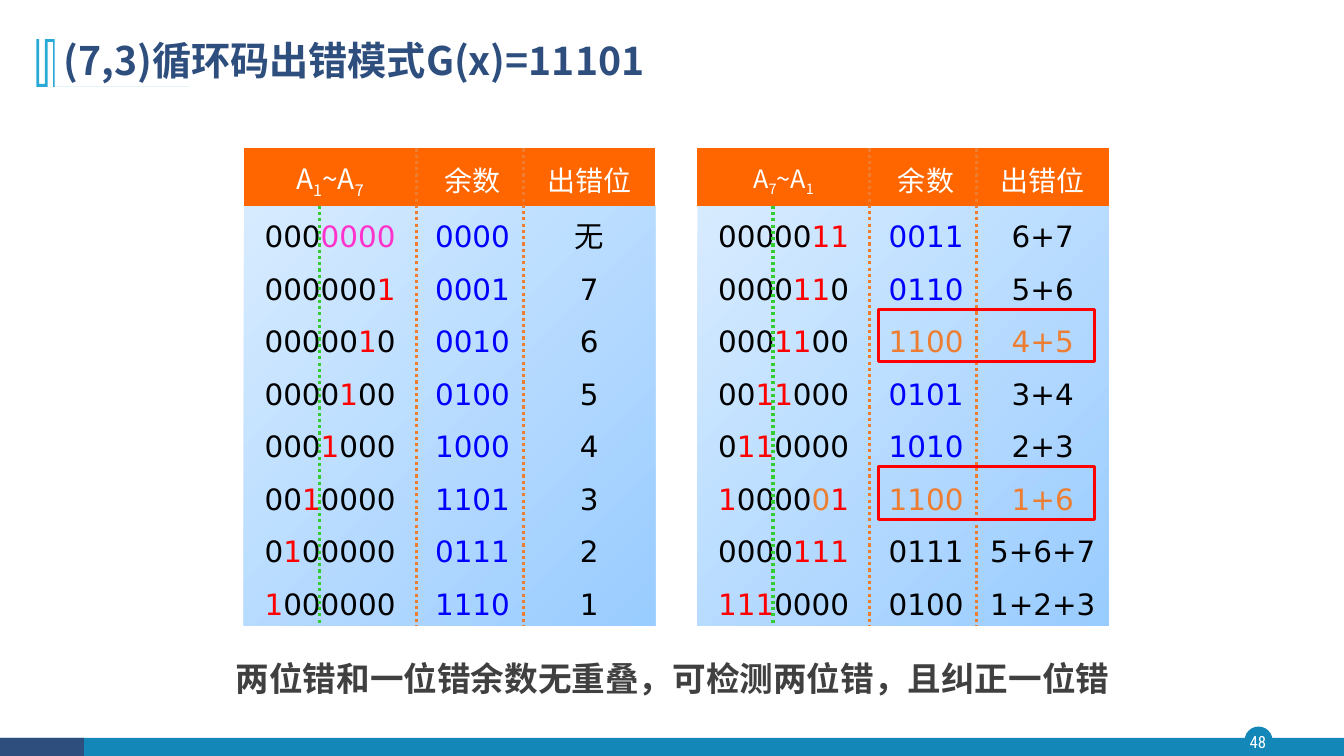
import lxml.etree
import pptx
import pptx.dml.color
import pptx.enum.dml
import pptx.enum.shapes
import pptx.enum.text
import pptx.oxml.ns
import pptx.util

Pt = pptx.util.Pt
ALIGN = pptx.enum.text.PP_ALIGN
ANCHOR = pptx.enum.text.MSO_ANCHOR
SHAPE = pptx.enum.shapes.MSO_SHAPE
qn = pptx.oxml.ns.qn

COLOURS = {
    "navy": "2E4E7E", "teal": "1387B7", "cyan": "28A9D6", "white": "FFFFFF",
    "black": "000000", "red": "FF0000", "blue": "0000FF", "orange": "ED7D31",
    "pink": "FF33CC", "header": "FF6600", "green": "33CC33", "grey": "404040",
    "pale": "D7EBFF", "sky": "99CCFF",
}
INKS = {"r": "red", "b": "blue", "o": "orange", "p": "pink"}
CJK, DIGITS = "Noto Sans CJK SC", "DejaVu Sans"
NO_GRID_STYLE = "{2D5ABB26-0587-4C30-8999-92F81FD0307C}"

TABLE_TOP, HEADER_HEIGHT, ROW_HEIGHT = 106, 41, 37.5
COLUMN_WIDTHS = (123.1, 76.4, 94.3)
BODY_TOP = TABLE_TOP + HEADER_HEIGHT
SINGLE_ERRORS = [
    ("A _1 ~A _7", "余数", "出错位"),
    ("000 p0000", "b0000", "无"),
    ("000000 r1", "b0001", "7"),
    ("00000 r1 0", "b0010", "6"),
    ("0000 r1 00", "b0100", "5"),
    ("000 r1 000", "b1000", "4"),
    ("00 r1 0000", "b1101", "3"),
    ("0 r1 00000", "b0111", "2"),
    ("r1 000000", "b1110", "1"),
]
DOUBLE_ERRORS = [
    ("A _7 ~A _1", "余数", "出错位"),
    ("00000 r11", "b0011", "6+7"),
    ("0000 r11 0", "b0110", "5+6"),
    ("000 r11 00", "o1100", "o4+5"),
    ("00 r11 000", "b0101", "3+4"),
    ("0 r11 0000", "b1010", "2+3"),
    ("r1 0000 o0 r1", "o1100", "o1+6"),
    ("0000 r111", "0111", "5+6+7"),
    ("r111 0000", "0100", "1+2+3"),
]
CORNER_MARK = [
    (39, 28), (39, 61.5), (135, 61.5), (135, 62.5), (37.5, 62.5), (37.5, 29.5),
    (34, 29.5), (34, 62.5), (26, 62.5), (26, 28), (28, 28), (28, 60.5),
    (31.5, 60.5), (31.5, 28),
]


def rgb(name):
    """Return the named colour."""
    return pptx.dml.color.RGBColor.from_string(COLOURS[name])


def style(para, size, face, colour, bold=False, align=ALIGN.LEFT):
    """Set the alignment and font of a whole paragraph."""
    para.alignment = align
    font = para.font
    font.size, font.name, font.bold = Pt(size), face, bold
    font.color.rgb = rgb(colour)
    defaults = para._p.pPr.find(qn("a:defRPr"))
    lxml.etree.SubElement(defaults, qn("a:ea")).set("typeface", face)


def add_block(page, kind, left, top, width, height, fill=None, line=None):
    """Add a flat preset shape."""
    block = page.shapes.add_shape(kind, Pt(left), Pt(top), Pt(width), Pt(height))
    block.shadow.inherit = False
    if fill:
        block.fill.solid()
        block.fill.fore_color.rgb = rgb(fill)
    else:
        block.fill.background()
    if line:
        block.line.color.rgb = rgb(line)
        block.line.width = Pt(2.25)
    else:
        block.line.fill.background()
    return block


def add_label(page, text, left, top, width, height, margin, **look):
    """Add a one-paragraph text box."""
    box = page.shapes.add_textbox(Pt(left), Pt(top), Pt(width), Pt(height))
    frame = box.text_frame
    frame.word_wrap = True
    frame.vertical_anchor = ANCHOR.MIDDLE
    frame.margin_left = frame.margin_right = Pt(margin)
    frame.margin_top = frame.margin_bottom = Pt(margin / 2)
    frame.text = text
    style(frame.paragraphs[0], **look)


def add_dotted_line(page, x, top, colour):
    """Add a vertical dotted line down to the foot of the tables."""
    bottom = BODY_TOP + 8 * ROW_HEIGHT
    line = page.shapes.add_connector(
        pptx.enum.shapes.MSO_CONNECTOR.STRAIGHT, Pt(x), Pt(top), Pt(x), Pt(bottom))
    line.line.color.rgb = rgb(colour)
    line.line.width = Pt(2.25)
    line.line.dash_style = pptx.enum.dml.MSO_LINE.ROUND_DOT
    lxml.etree.SubElement(line.element.spPr, qn("a:effectLst"))


def add_spans(para, marked):
    """Add space-separated spans, each with an optional ink or subscript prefix."""
    for piece in marked.split():
        span = para.add_run()
        prefix = piece[0]
        marked_span = prefix == "_" or prefix in INKS
        span.text = piece[1:] if marked_span else piece
        if prefix == "_":
            span.font._element.set("baseline", "-25000")
        elif marked_span:
            span.font.color.rgb = rgb(INKS[prefix])


def fill_cell(cell, marked, is_header, column, size):
    """Write and format one table cell."""
    para = cell.text_frame.paragraphs[0]
    add_spans(para, marked)
    cell.margin_left = Pt(9 if column == 1 else 5)
    cell.margin_right = Pt(5)
    if is_header:
        cell.fill.solid()
        cell.fill.fore_color.rgb = rgb("header")
        cell.vertical_anchor = ANCHOR.MIDDLE
        cell.margin_top, cell.margin_bottom = Pt(4), Pt(1)
        style(para, size, CJK, "white", align=ALIGN.CENTER)
    else:
        cell.fill.background()
        cell.vertical_anchor = ANCHOR.BOTTOM
        cell.margin_top, cell.margin_bottom = Pt(0), Pt(2.5)
        style(para, 21, DIGITS, "black", align=ALIGN.CENTER)


def add_code_table(page, left, rows, code_header_size):
    """Add an error table on its gradient panel, with dotted dividers."""
    width, body_height = sum(COLUMN_WIDTHS), ROW_HEIGHT * (len(rows) - 1)
    panel = add_block(page, SHAPE.RECTANGLE, left, BODY_TOP, width, body_height)
    panel.fill.gradient()
    panel.fill.gradient_angle = 315
    for stop, colour in zip(panel.fill.gradient_stops, ("pale", "sky")):
        stop.color.rgb = rgb(colour)
    holder = page.shapes.add_table(
        len(rows), len(COLUMN_WIDTHS), Pt(left), Pt(TABLE_TOP),
        Pt(width), Pt(HEADER_HEIGHT + body_height))
    table = holder.table
    table.horz_banding = False
    next(holder.element.iter(qn("a:tableStyleId"))).text = NO_GRID_STYLE
    for column, column_width in enumerate(COLUMN_WIDTHS):
        table.columns[column].width = Pt(column_width)
    for index, row in enumerate(rows):
        table.rows[index].height = Pt(ROW_HEIGHT if index else HEADER_HEIGHT)
        for column, marked in enumerate(row):
            size = 20 if column else code_header_size
            fill_cell(table.cell(index, column), marked, index == 0, column, size)
    for count in (1, 2):
        add_dotted_line(page, left + sum(COLUMN_WIDTHS[:count]), TABLE_TOP, "orange")
    add_dotted_line(page, left + 54, BODY_TOP, "green")


def add_frame_parts(page):
    """Add the footer bar, page number and corner mark."""
    add_block(page, SHAPE.OVAL, 889, 519, 20, 20, "teal")
    add_block(page, SHAPE.RECTANGLE, 0, 527, 960, 13, "teal")
    add_block(page, SHAPE.RECTANGLE, 0, 527, 60, 13, "navy")
    add_label(page, "48", 887, 519, 23, 22, 0, size=12, face="Roboto Condensed",
              colour="white", align=ALIGN.CENTER)
    builder = page.shapes.build_freeform(*CORNER_MARK[0], scale=Pt(1))
    builder.add_line_segments(CORNER_MARK[1:], close=True)
    mark = builder.convert_to_shape()
    mark.shadow.inherit = False
    mark.fill.solid()
    mark.fill.fore_color.rgb = rgb("cyan")
    mark.line.fill.background()


def set_title(page, text):
    """Place and format the title."""
    title = page.shapes.title
    title.left, title.top, title.width, title.height = Pt(38.2), Pt(20), Pt(828), Pt(49)
    title.text_frame.text = text
    title.text_frame.vertical_anchor = ANCHOR.MIDDLE
    para = title.text_frame.paragraphs[0]
    para.line_spacing = 0.9
    style(para, 28, CJK, "navy", bold=True)


def main():
    """Build and save the slide."""
    deck = pptx.Presentation()
    deck.slide_width, deck.slide_height = Pt(960), Pt(540)
    page = deck.slides.add_slide(deck.slide_layouts[5])
    add_frame_parts(page)
    set_title(page, "(7,3)循环码出错模式G(x)=11101")
    add_code_table(page, 174.2, SINGLE_ERRORS, 20)
    add_code_table(page, 498.2, DOUBLE_ERRORS, 18)
    add_label(page, "两位错和一位错余数无重叠，可检测两位错，且纠正一位错",
              161.3, 466.5, 705.6, 36, 7.2, size=24, face=CJK, colour="grey", bold=True)
    for row in (2, 5):
        add_block(page, SHAPE.RECTANGLE, 627.8, BODY_TOP + row * ROW_HEIGHT - 1,
                  154, ROW_HEIGHT, line="red")
    deck.save("out.pptx")


if __name__ == "__main__":
    main()
